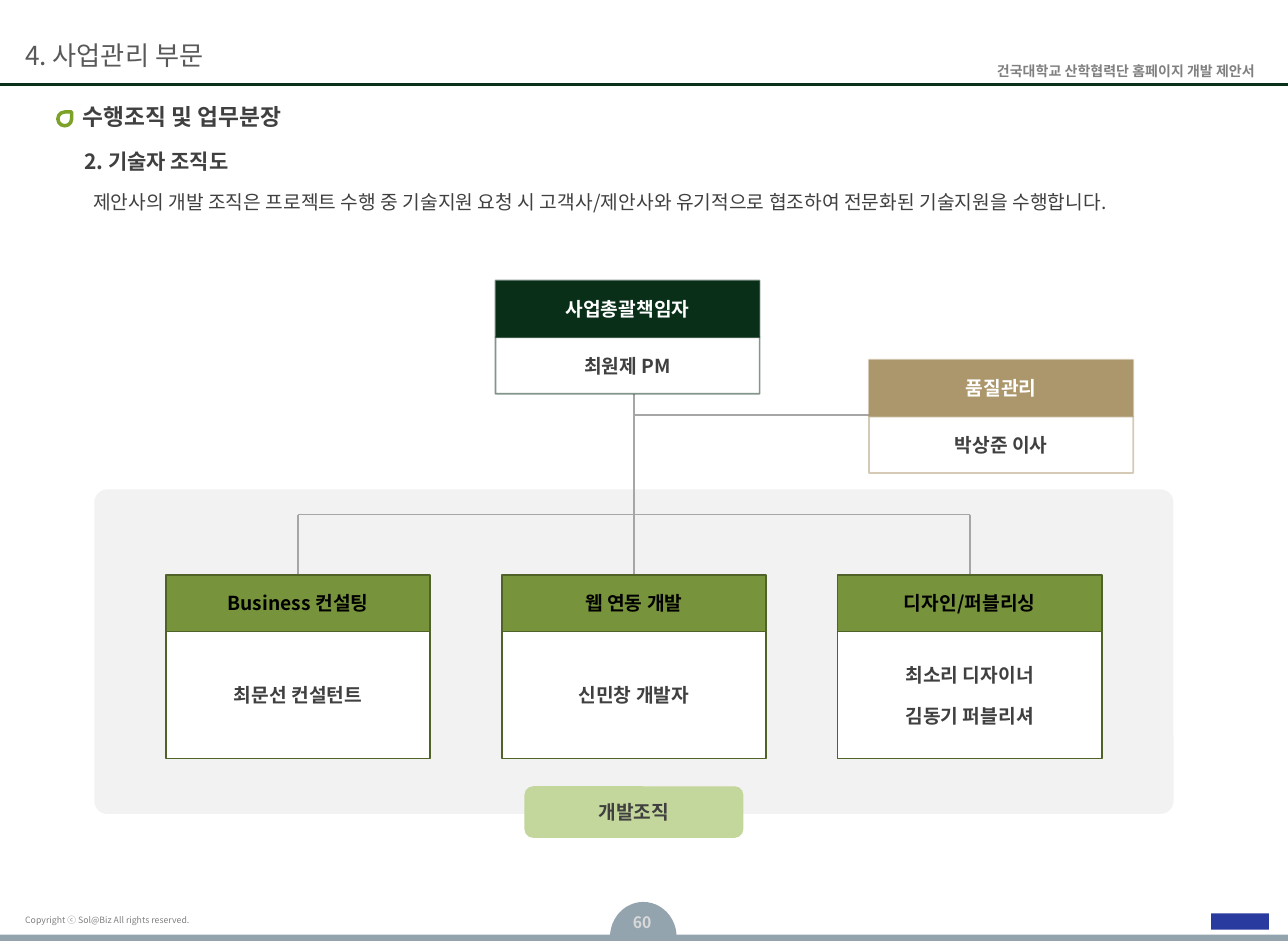
from lxml import etree
from pptx import Presentation
from pptx.dml.color import RGBColor
from pptx.enum.shapes import MSO_CONNECTOR, MSO_SHAPE
from pptx.enum.text import MSO_ANCHOR, MSO_AUTO_SIZE, PP_ALIGN
from pptx.oxml.ns import qn
from pptx.util import Inches, Pt

RECTANGLE, ROUNDED = MSO_SHAPE.RECTANGLE, MSO_SHAPE.ROUNDED_RECTANGLE
TEARDROP, CHORD = MSO_SHAPE.TEAR, MSO_SHAPE.CHORD
STRAIGHT = MSO_CONNECTOR.STRAIGHT
LEFT, CENTER, RIGHT = PP_ALIGN.LEFT, PP_ALIGN.CENTER, PP_ALIGN.RIGHT
TOP, MIDDLE = MSO_ANCHOR.TOP, MSO_ANCHOR.MIDDLE
NO_RESIZE = MSO_AUTO_SIZE.NONE

WHITE = RGBColor(0xFF, 0xFF, 0xFF)
BLACK = RGBColor(0x00, 0x00, 0x00)
INK = RGBColor(0x40, 0x40, 0x40)
SECTION_GRAY = RGBColor(0x59, 0x59, 0x59)
MUTED_GRAY = RGBColor(0x80, 0x80, 0x80)
LINE_GRAY = RGBColor(0xA6, 0xA6, 0xA6)
NUMBER_GRAY = RGBColor(0xD9, 0xD9, 0xD9)
PANEL_GRAY = RGBColor(0xF2, 0xF2, 0xF2)
FOOTER_BLUE = RGBColor(0x93, 0xA4, 0xAE)
MARK_BLUE = RGBColor(0x29, 0x3B, 0x9F)
RULE_GREEN = RGBColor(0x09, 0x30, 0x19)
MANAGER_GREEN = RGBColor(0x09, 0x2F, 0x19)
BULLET_GREEN = RGBColor(0x7C, 0xA2, 0x28)
TEAM_GREEN = RGBColor(0x77, 0x93, 0x3C)
TEAM_BORDER = RGBColor(0x4F, 0x62, 0x28)
LABEL_GREEN = RGBColor(0xC3, 0xD6, 0x9B)
QUALITY_TAN = RGBColor(0xAC, 0x97, 0x6C)

FONT = "Noto Sans CJK KR"
CELL = Inches(0.1)
COLUMNS, ROWS = 102.4, 74.8
CARD_WIDTH, CARD_HEADER = 21, 4.5
TEAM_LEFT, TEAM_TOP, TEAM_PITCH, TEAM_BODY = 13.2, 45.7, 26.7, 10.1
BUS_ROW, QUALITY_ROW = 40.9, 33

TEAMS = [
    ("Business 컨설팅", ["최문선 컨설턴트"]),
    ("웹 연동 개발", ["신민창 개발자"]),
    ("디자인/퍼블리싱", ["최소리 디자이너", "김동기 퍼블리셔"]),
]


def grid(*cells):
    """Turn grid columns and rows into slide lengths."""
    return [round(cell * CELL) for cell in cells]


def write(shape, *lines, size=11, color=INK, bold=True, align=CENTER,
          anchor=MIDDLE, insets=(0, 0), gap=0, font=FONT):
    """Fill a shape with formatted paragraphs."""
    frame = shape.text_frame
    frame.word_wrap = True
    frame.auto_size = NO_RESIZE
    frame.vertical_anchor = anchor
    frame.margin_left = frame.margin_right = Inches(insets[0])
    frame.margin_top = frame.margin_bottom = Inches(insets[1])
    for index, line in enumerate(lines):
        paragraph = frame.add_paragraph() if index else frame.paragraphs[0]
        paragraph.alignment = align
        paragraph.space_before = Pt(gap if index else 0)
        run = paragraph.add_run()
        run.text = line
        run.font.name = font
        run.font.size = Pt(size)
        run.font.bold = bold
        run.font.color.rgb = color
        east_asian = etree.SubElement(run.font._element, qn("a:ea"))
        east_asian.set("typeface", FONT)


def add_text(slide, area, text, **text_format):
    """Add a text box on the grid."""
    box = slide.shapes.add_textbox(*grid(*area))
    write(box, text, **text_format)


def fill_placeholder(placeholder, area, text, **text_format):
    """Move a placeholder onto the grid and write unbulleted text in it."""
    placeholder.left, placeholder.top, placeholder.width, placeholder.height = grid(*area)
    properties = placeholder.text_frame.paragraphs[0]._p.get_or_add_pPr()
    properties.set("marL", "0")
    properties.set("indent", "0")
    etree.SubElement(properties, qn("a:buNone"))
    write(placeholder, text, align=LEFT, anchor=TOP, **text_format)


def add_block(slide, kind, area, fill=None, border=None, width=1, opacity=100):
    """Add a flat preset shape on the grid."""
    shape = slide.shapes.add_shape(kind, *grid(*area))
    shape.shadow.inherit = False
    if fill is None:
        shape.fill.background()
    else:
        shape.fill.solid()
        shape.fill.fore_color.rgb = fill
    if border is None:
        shape.line.fill.background()
    else:
        shape.line.color.rgb = border
        shape.line.width = Pt(width)
        if opacity < 100:
            color = shape.line._ln.find(".//" + qn("a:srgbClr"))
            etree.SubElement(color, qn("a:alpha")).set("val", str(opacity * 1000))
    return shape


def add_line(slide, start, end, color=LINE_GRAY, width=1):
    """Join two grid points with a flat straight line."""
    line = slide.shapes.add_connector(STRAIGHT, *grid(*start, *end))
    line.line.color.rgb = color
    line.line.width = Pt(width)
    etree.SubElement(line._element.spPr, qn("a:effectLst"))


def add_card(slide, left, top, role, people, fill, border, role_color=WHITE,
             body_fill=None, body_height=CARD_HEADER, opacity=100):
    """Add a role header with its people below."""
    header = add_block(slide, RECTANGLE, (left, top, CARD_WIDTH, CARD_HEADER),
                       fill, border, opacity=opacity)
    write(header, role, color=role_color)
    body = add_block(slide, RECTANGLE, (left, top + CARD_HEADER, CARD_WIDTH, body_height),
                     body_fill, border, opacity=opacity)
    write(body, *people, gap=10)


def add_frame(slide):
    """Add the header and footer of the page."""
    dome = add_block(slide, CHORD, (48.5, 71.7, 5.3, 5.6), FOOTER_BLUE)
    dome.adjustments[0], dome.adjustments[1] = 108.41, 214.66
    add_text(slide, (1.2, 72.3, 26.1, 1.8), "Copyright ⓒ Sol@Biz All rights reserved.",
             size=5, color=MUTED_GRAY, bold=False, align=LEFT, anchor=TOP, insets=(0.08, 0.04))
    add_block(slide, RECTANGLE, (0, 74.3, COLUMNS, ROWS - 74.3), FOOTER_BLUE)
    add_text(slide, (48.5, 72.1, 5.1, 3.7), "60", size=9, color=NUMBER_GRAY,
             anchor=TOP, insets=(0.09, 0.05))
    add_line(slide, (0, 6.7), (COLUMNS, 6.7), RULE_GREEN, 1.5)
    add_text(slide, (74.7, 4.5, 26, 2.3), "건국대학교 산학협력단 홈페이지 개발 제안서",
             size=8, color=MUTED_GRAY, align=RIGHT, anchor=TOP, insets=(0.09, 0.05), font="Arial")
    add_text(slide, (0, 2.2, 62.9, 4.4), "4. 사업관리 부문", size=15, color=SECTION_GRAY,
             bold=False, align=LEFT, insets=(0.2, 0.05))
    add_block(slide, RECTANGLE, (96.3, 72.6, 4.6, 1.3), MARK_BLUE)


def add_headings(slide):
    """Add the title, the subtitle and the introduction."""
    title, body = slide.placeholders
    add_block(slide, TEARDROP, (4.6, 8.9, 1.1, 1.1), WHITE, BULLET_GREEN, 2)
    fill_placeholder(title, (6.6, 8.2, 95.6, 2.8), "수행조직 및 업무분장", size=13)
    add_text(slide, (6.7, 11.8, 50.7, 2), "2. 기술자 조직도", size=12, align=LEFT, anchor=TOP)
    fill_placeholder(
        body, (6.4, 14.6, 92.6, 7.7),
        "제안사의 개발 조직은 프로젝트 수행 중 기술지원 요청 시 고객사/제안사와 "
        "유기적으로 협조하여 전문화된 기술지원을 수행합니다.",
        bold=False, insets=(0.1, 0.05))


def add_organization(slide):
    """Add the organization chart."""
    centers = [TEAM_LEFT + CARD_WIDTH / 2 + TEAM_PITCH * index for index in range(len(TEAMS))]
    trunk = centers[1]
    panel = add_block(slide, ROUNDED, (7.5, 38.9, 85.8, 25.8), PANEL_GRAY)
    panel.adjustments[0] = 0.04
    for center in centers:
        add_line(slide, (center, 31.3 if center == trunk else BUS_ROW), (center, TEAM_TOP))
    add_line(slide, (centers[0], BUS_ROW), (centers[-1], BUS_ROW))
    add_line(slide, (trunk, QUALITY_ROW), (69.1, QUALITY_ROW))
    add_card(slide, 39.4, 22.3, "사업총괄책임자", ["최원제 PM"],
             MANAGER_GREEN, MANAGER_GREEN, opacity=50)
    add_card(slide, 69.1, 28.6, "품질관리", ["박상준 이사"],
             QUALITY_TAN, QUALITY_TAN, opacity=50)
    for center, (role, people) in zip(centers, TEAMS):
        add_card(slide, center - CARD_WIDTH / 2, TEAM_TOP, role, people, TEAM_GREEN,
                 TEAM_BORDER, BLACK, WHITE, TEAM_BODY)
    label = add_block(slide, ROUNDED, (41.7, 62.5, 17.4, 4.1), LABEL_GREEN)
    write(label, "개발조직")


def main():
    """Build and save the presentation."""
    presentation = Presentation()
    presentation.slide_width, presentation.slide_height = grid(COLUMNS, ROWS)
    slide = presentation.slides.add_slide(presentation.slide_layouts[1])
    add_frame(slide)
    add_headings(slide)
    add_organization(slide)
    presentation.save("out.pptx")


if __name__ == "__main__":
    main()
